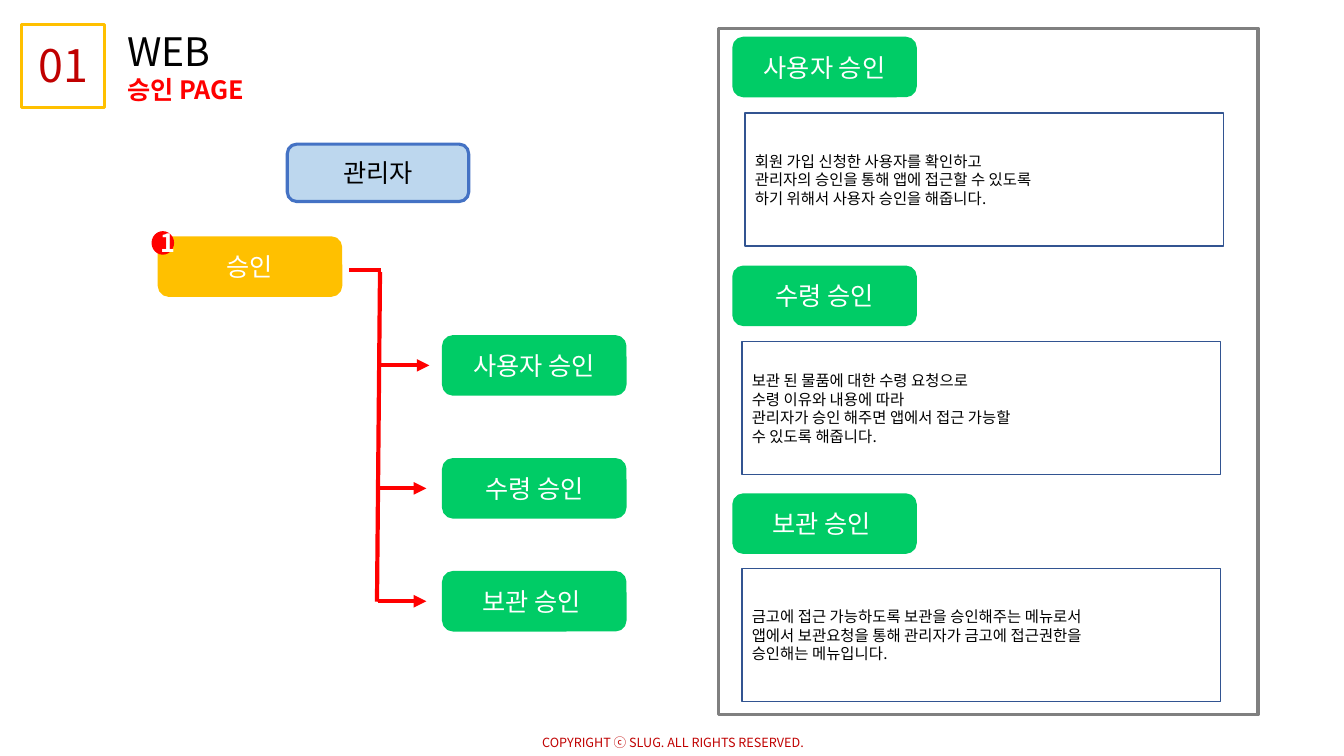
"""Build the approval page slide of the web menu guide."""
import pptx
import pptx.dml.color
import pptx.enum.shapes
import pptx.enum.text
import pptx.oxml.ns
import pptx.util
from lxml import etree

Kind = pptx.enum.shapes.MSO_SHAPE
Align = pptx.enum.text.PP_ALIGN
Anchor = pptx.enum.text.MSO_ANCHOR
Fit = pptx.enum.text.MSO_AUTO_SIZE
qn = pptx.oxml.ns.qn

HUES = {
    "white": "FFFFFF", "black": "000000", "red": "FF0000", "wine": "C00000",
    "gold": "FFC000", "green": "00CC66", "sky": "BDD7EE", "blue": "4472C4",
    "navy": "325491", "gray": "808080",
}
FACE = "Noto Sans CJK KR"
COLS, ROWS = 133.33, 75
CARD = (18, 5.7)
NOTE = (47.5, 13.2)


def hue(name):
    return pptx.dml.color.RGBColor.from_string(HUES[name])


class Page:
    def __init__(self, deck):
        self.slide = deck.slides.add_slide(deck.slide_layouts[5])
        self.shapes = self.slide.shapes
        self.col = deck.slide_width / COLS
        self.row = deck.slide_height / ROWS

    def place(self, left, top, wide, high):
        return [round(left * self.col), round(top * self.row),
                round(wide * self.col), round(high * self.row)]

    def letter(self, frame, text, looks, align, anchor):
        frame.text = text
        setup = {"word_wrap": True, "auto_size": Fit.NONE, "vertical_anchor": anchor}
        for key, value in setup.items():
            setattr(frame, key, value)
        for i, para in enumerate(frame.paragraphs):
            size, color, bold = looks[min(i, len(looks) - 1)]
            para.alignment = align
            for run in para.runs:
                form = {"size": pptx.util.Pt(size), "bold": bold, "name": FACE}
                for key, value in form.items():
                    setattr(run.font, key, value)
                run.font.color.rgb = hue(color)
                props = run.font._element
                etree.SubElement(props, qn("a:ea")).set("typeface", FACE)

    def title(self, box, text, looks):
        head = self.shapes.title
        spots = zip(("left", "top", "width", "height"), self.place(*box))
        for key, value in spots:
            setattr(head, key, value)
        self.letter(head.text_frame, text, looks, Align.LEFT, Anchor.TOP)

    def label(self, box, text, look):
        item = self.shapes.add_textbox(*self.place(*box))
        self.letter(item.text_frame, text, [look], Align.CENTER, Anchor.TOP)

    def shape(self, kind, box, fill, edge, width=2.25, text="",
              look=(18, "white", False), align=Align.CENTER):
        item = self.shapes.add_shape(kind, *self.place(*box))
        item.shadow.inherit = False
        if fill:
            item.fill.solid()
            item.fill.fore_color.rgb = hue(fill)
        else:
            item.fill.background()
        item.line.color.rgb = hue(edge)
        item.line.width = pptx.util.Pt(width)
        if text:
            self.letter(item.text_frame, text, [look], align, Anchor.MIDDLE)

    def card(self, left, top, text, fill="green", edge="green", color="white"):
        self.shape(Kind.ROUNDED_RECTANGLE, (left, top, *CARD), fill, edge,
                   text=text, look=(18, color, False))

    def note(self, left, top, text):
        self.shape(Kind.RECTANGLE, (left, top, *NOTE), "white", "navy", 1,
                   text, (11, "black", False), Align.LEFT)

    def line(self, start, end, arrow=False):
        ends = self.place(*start, *end)
        item = self.shapes.add_connector(pptx.enum.shapes.MSO_CONNECTOR.STRAIGHT, *ends)
        item.line.color.rgb = hue("red")
        item.line.width = pptx.util.Pt(3)
        if arrow:
            stroke = item._element.spPr.find(qn("a:ln"))
            etree.SubElement(stroke, qn("a:tailEnd")).set("type", "triangle")
        etree.SubElement(item._element.spPr, qn("a:effectLst"))


def main():
    deck = pptx.Presentation()
    deck.slide_width = pptx.util.Inches(13.33)
    deck.slide_height = pptx.util.Inches(7.5)
    page = Page(deck)

    page.shape(Kind.RECTANGLE, (2.1, 2.4, 8.3, 8.3), None, "gold")
    page.label((0.8, 3.3, 11, 6.4), "01", (32, "wine", False))
    page.title((11.6, 2.2, 22.3, 8.8), "WEB\n승인 PAGE",
               [(28, "black", False), (18, "red", True)])
    page.label((45.9, 72.4, 41.7, 2.5), "COPYRIGHT ⓒ SLUG. ALL RIGHTS RESERVED.",
               (9, "wine", False))

    page.card(28.5, 14.3, "관리자", "sky", "blue", "black")
    page.card(15.8, 23.6, "승인", "gold", "gold")
    page.shape(Kind.OVAL, (15.1, 23, 2.1, 2.2), "red", "red", 1, "1",
               (18, "white", True))
    page.line((37.8, 26.8), (34.6, 26.8))
    page.line((37.4, 59.7), (37.7, 27))
    page.shape(Kind.RECTANGLE, (71.3, 2.8, 53.5, 68.1), None, "gray")

    menus = [
        ("사용자 승인", 33.4, (37.8, 42.6), 3.8, (73.9, 11.2),
         "회원 가입 신청한 사용자를 확인하고\n"
         "관리자의 승인을 통해 앱에 접근할 수 있도록\n"
         "하기 위해서 사용자 승인을 해줍니다."),
        ("수령 승인", 45.6, (37.4, 42.3), 26.5, (73.6, 33.9),
         "보관 된 물품에 대한 수령 요청으로\n"
         "수령 이유와 내용에 따라\n"
         "관리자가 승인 해주면 앱에서 접근 가능할\n"
         "수 있도록 해줍니다."),
        ("보관 승인 ", 56.8, (37.5, 42.3), 49.1, (73.6, 56.4),
         "금고에 접근 가능하도록 보관을 승인해주는 메뉴로서\n"
         "앱에서 보관요청을 통해 관리자가 금고에 접근권한을\n"
         "승인해는 메뉴입니다."),
    ]
    for name, top, (start, end), head, spot, text in menus:
        mid = top + CARD[1] / 2
        page.line((start, mid), (end, mid), arrow=True)
        page.card(44, top, name)
        page.card(72.8, head, name)
        page.note(*spot, text)

    deck.save("out.pptx")


if __name__ == "__main__":
    main()
